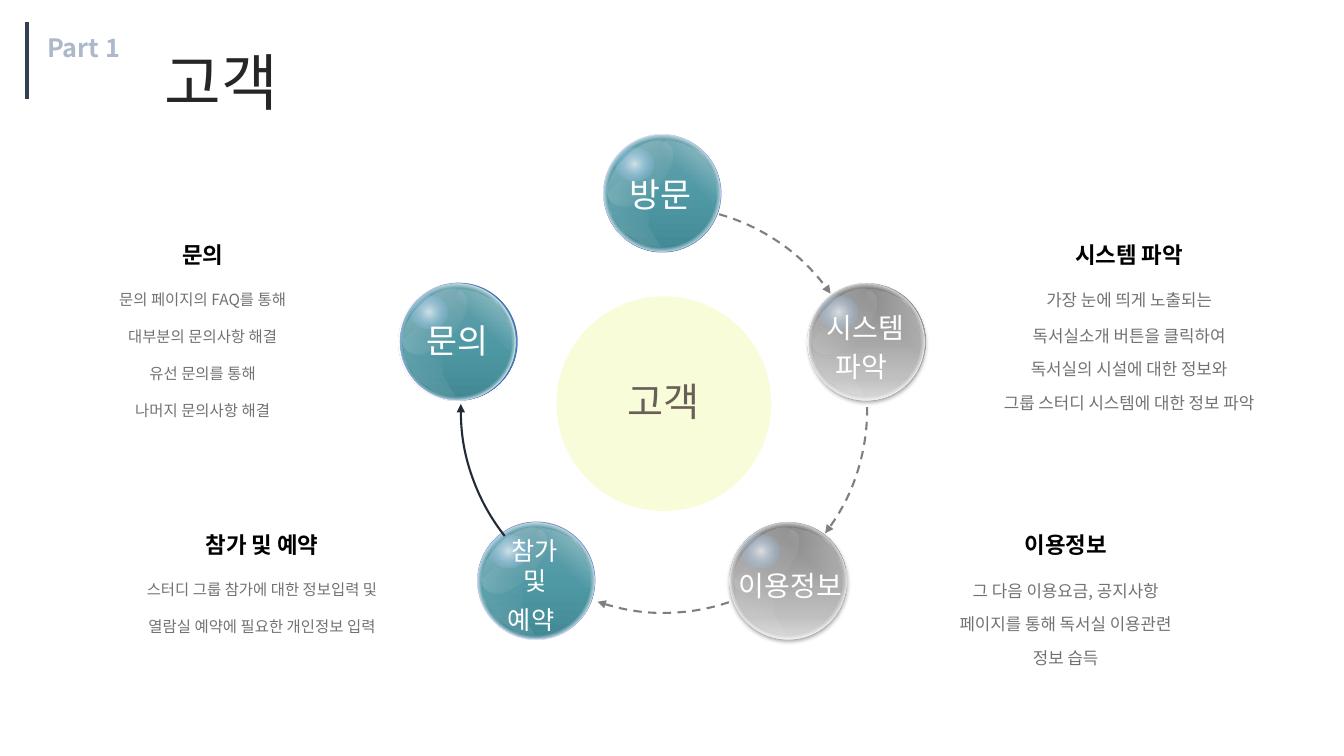
from lxml import etree
from pptx import Presentation
from pptx.dml.color import RGBColor
from pptx.enum.dml import MSO_LINE as Dash
from pptx.enum.shapes import MSO_CONNECTOR as Conn, MSO_SHAPE as Geo
from pptx.enum.text import MSO_ANCHOR as Anchor, MSO_AUTO_SIZE as Auto, PP_ALIGN as Align
from pptx.oxml import parse_xml
from pptx.oxml.ns import qn
from pptx.util import Inches, Pt

FONT = "Noto Sans CJK KR"
NS = 'xmlns:a="http://schemas.openxmlformats.org/drawingml/2006/main"'
WHITE = RGBColor(0xFF, 0xFF, 0xFF)
BLACK = RGBColor(0, 0, 0)
INK = RGBColor(0x26, 0x26, 0x26)
GRAY = RGBColor(0x76, 0x71, 0x71)
BROWN = RGBColor(0x6A, 0x5F, 0x58)
PALE = RGBColor(0xAD, 0xB9, 0xCA)
SLATE = RGBColor(0x33, 0x3F, 0x50)
NAVY = RGBColor(0x22, 0x2A, 0x35)
DASHED = RGBColor(0x7F, 0x7F, 0x7F)
CREAM = RGBColor(0xF9, 0xFC, 0xD8)
BLUE = RGBColor(0x44, 0x72, 0xC4)
SKY = RGBColor(0x67, 0xAB, 0xF5)
SILVER = RGBColor(0xB3, 0xB3, 0xB3)

# Gradient stops: position, colour, opacity
TEAL = [(0, RGBColor(0x67, 0xA2, 0xAD), 100), (50, RGBColor(0x4F, 0x99, 0xA5), 100),
        (100, RGBColor(0x42, 0x89, 0x95), 100)]
STEEL = [(0, DASHED, 100), (80, RGBColor(0xBF, 0xBF, 0xBF), 100),
         (100, RGBColor(0xD8, 0xD8, 0xD8), 100)]
RIM = [(0, WHITE, 0), (65, WHITE, 0), (74, WHITE, 100), (100, WHITE, 100)]
SHEEN = [(0, WHITE, 33), (100, SILVER, 0)]
GLOW = [(0, WHITE, 33), (20, SILVER, 0), (100, SILVER, 0)]
SPOT = [(0, WHITE, 65), (100, SKY, 0)]
LEAF = [(0, WHITE, 0), (50, WHITE, 0), (74, WHITE, 19), (100, WHITE, 0)]
WING = [(0, WHITE, 0), (28, WHITE, 0), (74, WHITE, 11), (100, WHITE, 11)]
MID = (50, 50, 50, 50)

BALL = 1.16
# Outlines of the reflections, measured from the corner of a ball
LEAF_PTS = [(.62, .05), (.58, .1), (.57, .19), (.5, .24), (.49, .31), (.7, .48), (.92, .66),
            (.97, .77), (1.07, .71), (1.14, .58), (1.09, .38), (.97, .18), (.79, .09)]
WING_PTS = [(.38, .32), (.18, .43), (.04, .57), (.07, .78), (.19, .96), (.39, 1.09),
            (.57, 1.12), (.44, .9), (.45, .66), (.37, .39)]


def shade(shape, stops, angle=90, focus=None):
    """Fill with a linear gradient, or a round one if a focus is given."""
    gs = ""
    for pos, color, alpha in stops:
        clear = f'<a:alpha val="{alpha * 1000}"/>' if alpha < 100 else ""
        gs += f'<a:gs pos="{pos * 1000}"><a:srgbClr val="{color}">{clear}</a:srgbClr></a:gs>'
    if focus:
        sides = " ".join(f'{side}="{val * 1000}"' for side, val in zip("ltrb", focus))
        way = f'<a:path path="circle"><a:fillToRect {sides}/></a:path>'
    else:
        way = f'<a:lin ang="{angle * 60000}" scaled="0"/>'
    grad = parse_xml(f'<a:gradFill {NS} rotWithShape="1"><a:gsLst>{gs}</a:gsLst>{way}</a:gradFill>')
    shape.fill.background()
    old = shape._element.spPr.find(qn("a:noFill"))
    old.getparent().replace(old, grad)


def plain(shape):
    shape.shadow.inherit = False
    shape.line.fill.background()
    return shape


def oval(shapes, x, y, w, h, turn=0):
    dot = plain(shapes.add_shape(Geo.OVAL, Inches(x), Inches(y), Inches(w), Inches(h)))
    dot.rotation = turn
    return dot


def patch(shapes, x, y, outline):
    first, *rest = [(Inches(x + dx), Inches(y + dy)) for dx, dy in outline]
    pen = shapes.build_freeform(*first)
    pen.add_line_segments(rest, close=True)
    return plain(pen.convert_to_shape())


def ball(slide, x, y, stops, shift=0):
    base = oval(slide.shapes, x, y, BALL, BALL)
    shade(base, stops)
    if stops is TEAL:
        base.line.color.rgb = BLUE
        base.line.width = Pt(0.75)
    else:
        base._element.spPr.find(qn("a:effectLst")).append(parse_xml(
            f'<a:outerShdw {NS} blurRad="{Pt(3.1)}" dist="{Pt(1.8)}" dir="5400000" algn="t" '
            'rotWithShape="0"><a:srgbClr val="000000"><a:alpha val="35000"/></a:srgbClr></a:outerShdw>'))
    # Glass layers
    x -= shift
    glass = slide.shapes.add_group_shape().shapes
    rim = oval(glass, x, y, BALL, BALL)
    shade(rim, RIM, focus=MID)
    rim.line.color.rgb = WHITE
    rim.line.width = Pt(0.75)
    tone = rim.line._ln.find(".//" + qn("a:srgbClr"))
    etree.SubElement(tone, qn("a:alpha")).set("val", "25000")
    shade(oval(glass, x - .04, y + .16, .8, .43, 315), SHEEN)
    shade(oval(glass, x + .12, y + .12, .37, .33), SPOT, focus=MID)
    shade(patch(glass, x, y, LEAF_PTS), LEAF, focus=(0, 100, 100, 0))
    shade(patch(glass, x, y, WING_PTS), WING, angle=142)
    shade(oval(glass, x + .44, y + .63, .8, .43, 135), GLOW)


def arc(slide, turn, start, end, color=DASHED, dash=Dash.DASH):
    bow = slide.shapes.add_shape(Geo.ARC, Inches(4.57), Inches(2.05), Inches(4.03), Inches(4.03))
    bow.shadow.inherit = False
    bow.fill.background()
    bow.rotation = turn
    bow.adjustments[0], bow.adjustments[1] = start * .6, end * .6
    bow.line.color.rgb = color
    bow.line.width = Pt(1.5)
    bow.line.dash_style = dash
    etree.SubElement(bow.line._ln, qn("a:tailEnd")).set("type", "triangle")


def write(shape, lines, size=11, color=GRAY, bold=False, align=Align.CENTER, gaps=(), tail=None):
    """Set lines of text; tail is the size of a space closing the last line."""
    frame = shape.text_frame
    frame.word_wrap = True
    frame.auto_size = Auto.NONE
    frame.vertical_anchor = Anchor.TOP
    for i, line in enumerate(lines):
        para = frame.paragraphs[0] if i == 0 else frame.add_paragraph()
        runs = [(line, size)]
        if tail and line is lines[-1]:
            runs.append((" ", tail))
        para.alignment = align
        para.line_spacing = Pt(1.2 * max(pts for _, pts in runs))
        para.space_before = Pt(gaps[i - 1] if i and gaps else 0)
        for words, pts in runs:
            run = para.add_run()
            run.text = words
            font = run.font
            font.size, font.bold, font.name = Pt(pts), bold, FONT
            font.color.rgb = color
            etree.SubElement(run._r.get_or_add_rPr(), qn("a:ea")).set("typeface", FONT)


def box(slide, x, y, w, h, lines, **form):
    write(slide.shapes.add_textbox(Inches(x), Inches(y), Inches(w), Inches(h)), lines, **form)


def note(slide, x, y, w, head, lines, size, gaps):
    box(slide, x, y, w, .37, [head], size=16, color=BLACK, bold=True)
    box(slide, x, y + .49, w, 1.4, lines, size=size, gaps=gaps)


def main():
    deck = Presentation()
    deck.slide_width, deck.slide_height = Inches(13.33), Inches(7.5)
    slide = deck.slides.add_slide(deck.slide_layouts[5])

    # Header
    title = slide.shapes.title
    title.left, title.top, title.width, title.height = map(Inches, (1.53, .39, 1.53, .84))
    write(title, ["고객"], size=44, color=INK, align=Align.LEFT)
    box(slide, .37, .27, 2.31, .93, ["Part 1"], size=18, color=PALE, bold=True, align=Align.LEFT)
    bar = slide.shapes.add_connector(Conn.STRAIGHT, *map(Inches, (.27, .22, .27, .98)))
    bar.line.color.rgb = SLATE
    bar.line.width = Pt(3)
    etree.SubElement(bar._element.spPr, qn("a:effectLst"))

    # Cycle
    hub = oval(slide.shapes, 5.52, 2.94, 2.13, 2.13)
    hub.fill.solid()
    hub.fill.fore_color.rgb = CREAM
    for x, y, stops, shift in [(5.99, 1.34, TEAL, 0), (8.02, 2.81, STEEL, .01),
                               (7.24, 5.18, STEEL, 0), (4.74, 5.18, TEAL, 0),
                               (3.97, 2.81, TEAL, .02)]:
        ball(slide, x, y, stops, shift)
    arc(slide, 0, 285.77, 325.15)
    arc(slide, 73.5, 285.77, 324)
    arc(slide, 145.6, 285.77, 323.49)
    arc(slide, 219.1, 282.5, 322.54, NAVY, Dash.SOLID)

    # Cycle labels
    for x, y, w, lines, size, tail in [
            (6.06, 1.68, 1.05, ["방문"], 24, 24),
            (8.06, 3.03, 1.05, ["시스템", "파악"], 20, 24),
            (7.18, 5.59, 1.32, ["이용정보"], 20, None),
            (4.78, 5.26, 1.05, ["참가", "및", "예약"], 18, 24),
            (4.01, 3.12, 1.05, ["문의"], 24, None)]:
        box(slide, x, y, w, .5, lines, size=size, color=WHITE, tail=tail)
    box(slide, 5.47, 3.69, 2.23, .91, ["고객"], size=28, color=BROWN)

    # Notes
    note(slide, 1.18, 5.22, 2.84, "참가 및 예약",
         ["스터디 그룹 참가에 대한 정보입력 및", "열람실 예약에 필요한 개인정보 입력"], 11, [13.2])
    note(slide, .59, 2.34, 2.84, "문의",
         ["문의 페이지의 FAQ를 통해", "대부분의 문의사항 해결", "유선 문의를 통해",
          "나머지 문의사항 해결"], 11, [13.2] * 3)
    note(slide, 9.15, 5.22, 2.84, "이용정보",
         ["그 다음 이용요금, 공지사항", "페이지를 통해 독서실 이용관련", "정보 습득"], 12, [9.6] * 2)
    note(slide, 9.63, 2.34, 3.14, "시스템 파악",
         ["가장 눈에 띄게 노출되는", "독서실소개 버튼을 클릭하여", "독서실의 시설에 대한 정보와",
          "그룹 스터디 시스템에 대한 정보 파악"], 12, [10.8, 9.6, 9.6])

    deck.save("out.pptx")


if __name__ == "__main__":
    main()
